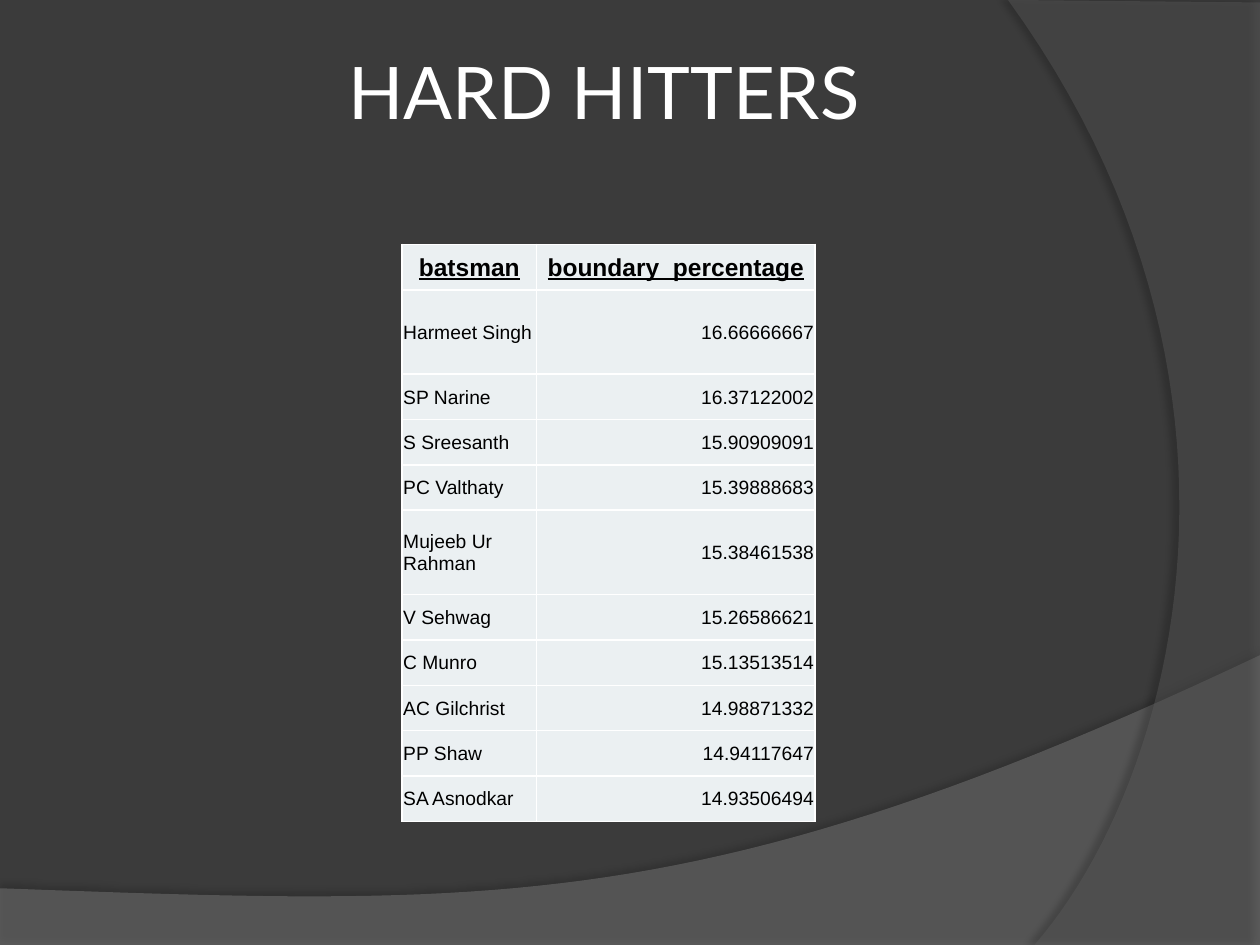
from lxml import etree
from pptx import Presentation
from pptx.dml.color import RGBColor
from pptx.enum.text import MSO_ANCHOR, PP_ALIGN
from pptx.oxml.ns import qn
from pptx.util import Inches, Pt


def rgb(hex_color):
    return RGBColor.from_string(hex_color)


def bezier(p0, p1, p2, p3, steps=48):
    """Points along a cubic curve, both ends included."""
    points = []
    for i in range(steps + 1):
        t = i / steps
        weights = ((1 - t) ** 3, 3 * t * (1 - t) ** 2, 3 * t**2 * (1 - t), t**3)
        points.append(tuple(sum(w * p[axis] for w, p in zip(weights, (p0, p1, p2, p3)))
                            for axis in (0, 1)))
    return points


prs = Presentation()
prs.slide_width, prs.slide_height = Inches(10), Inches(7.5)
slide = prs.slides.add_slide(prs.slide_layouts[6])
slide.background.fill.solid()
slide.background.fill.fore_color.rgb = rgb("3B3B3B")

# Translucent waves behind the content
waves = [
    {"outline": [(0, 7.05), (0, 7.51), (10, 7.51),
                 *bezier((10, 5.2), (5.59, 7.29), (3.91, 7.19), (0, 7.05))],
     "color": "7F7F7F", "opacity": 45,
     "shadow_opacity": 35, "distance": 3.5, "direction": 270},
    {"outline": [(10, 0.02), (10, 7.5),
                 *bezier((8.21, 7.5), (9.35, 6.19), (10.18, 3), (8, 0))],
     "color": "5E5E5E", "opacity": 40,
     "shadow_opacity": 45, "distance": 4, "direction": 180},
]
for wave in waves:
    start, *rest = [(Inches(x), Inches(y)) for x, y in wave["outline"]]
    builder = slide.shapes.build_freeform(*start)
    builder.add_line_segments(rest, close=True)
    band = builder.convert_to_shape()
    band.fill.solid()
    band.fill.fore_color.rgb = rgb(wave["color"])
    band.line.fill.background()
    band.shadow.inherit = False
    properties = band.element.spPr
    fill_color = properties.find(qn("a:solidFill"))[0]
    etree.SubElement(fill_color, qn("a:alpha"), val=str(wave["opacity"] * 1000))
    shadow = etree.SubElement(
        properties.find(qn("a:effectLst")), qn("a:outerShdw"),
        blurRad=str(Pt(4)), dist=str(Pt(wave["distance"])),
        dir=str(wave["direction"] * 60000), algn="ctr", rotWithShape="0")
    shadow_color = etree.SubElement(shadow, qn("a:srgbClr"), val="000000")
    etree.SubElement(shadow_color, qn("a:alpha"), val=str(wave["shadow_opacity"] * 1000))

# Batsmen by boundary percentage
rows = [
    ("batsman", "boundary_percentage"),
    ("Harmeet Singh", "16.66666667"),
    ("SP Narine", "16.37122002"),
    ("S Sreesanth", "15.90909091"),
    ("PC Valthaty", "15.39888683"),
    ("Mujeeb Ur Rahman", "15.38461538"),
    ("V Sehwag", "15.26586621"),
    ("C Munro", "15.13513514"),
    ("AC Gilchrist", "14.98871332"),
    ("PP Shaw", "14.94117647"),
    ("SA Asnodkar", "14.93506494"),
]
tall_rows = ("Harmeet Singh", "Mujeeb Ur Rahman")
header_font = {"size": Pt(14), "name": "Arial", "bold": True, "underline": True}
body_font = {"size": Pt(11), "name": "Arial", "bold": False, "underline": False}
cell_format = {"margin_left": Inches(0.01), "margin_right": Inches(0.01),
               "margin_top": Inches(0.01), "margin_bottom": 0,
               "vertical_anchor": MSO_ANCHOR.MIDDLE}

hitters = slide.shapes.add_table(len(rows), 2, Inches(3.19), Inches(1.94),
                                 Inches(3.28), Inches(4.57)).table
for column, width in zip(hitters.columns, (1.07, 2.21)):
    column.width = Inches(width)
for r, row in enumerate(rows):
    hitters.rows[r].height = Inches(0.67 if row[0] in tall_rows else 0.36)
    for c, text in enumerate(row):
        cell = hitters.cell(r, c)
        for name, value in cell_format.items():
            setattr(cell, name, value)
        cell_properties = cell._tc.get_or_add_tcPr()
        for side in ("lnL", "lnR", "lnT", "lnB"):
            border = etree.SubElement(cell_properties, qn(f"a:{side}"), w=str(Pt(1)))
            border_fill = etree.SubElement(border, qn("a:solidFill"))
            etree.SubElement(border_fill, qn("a:srgbClr"), val="FFFFFF")
        cell.fill.solid()
        cell.fill.fore_color.rgb = rgb("EBF0F2")
        cell.text = text
        paragraph = cell.text_frame.paragraphs[0]
        body_align = (PP_ALIGN.LEFT, PP_ALIGN.RIGHT)[c]
        paragraph.alignment = PP_ALIGN.CENTER if r == 0 else body_align
        font = paragraph.runs[0].font
        for name, value in (header_font if r == 0 else body_font).items():
            setattr(font, name, value)
        font.color.rgb = rgb("000000")

title = slide.shapes.add_textbox(Inches(1.14), Inches(0.36), Inches(7.31), Inches(0.72)).text_frame
title_format = {"word_wrap": True, "vertical_anchor": MSO_ANCHOR.MIDDLE,
                "margin_left": Inches(0.05), "margin_right": Inches(0.05),
                "margin_top": Inches(0.05), "margin_bottom": Inches(0.05)}
for name, value in title_format.items():
    setattr(title, name, value)
title.text = "HARD HITTERS"
heading = title.paragraphs[0]
heading.alignment = PP_ALIGN.CENTER
heading_font = heading.runs[0].font
heading_font.name = "Lato"
heading_font.size = Pt(41.4)
heading_font.color.rgb = rgb("FFFFFF")

prs.save("out.pptx")
